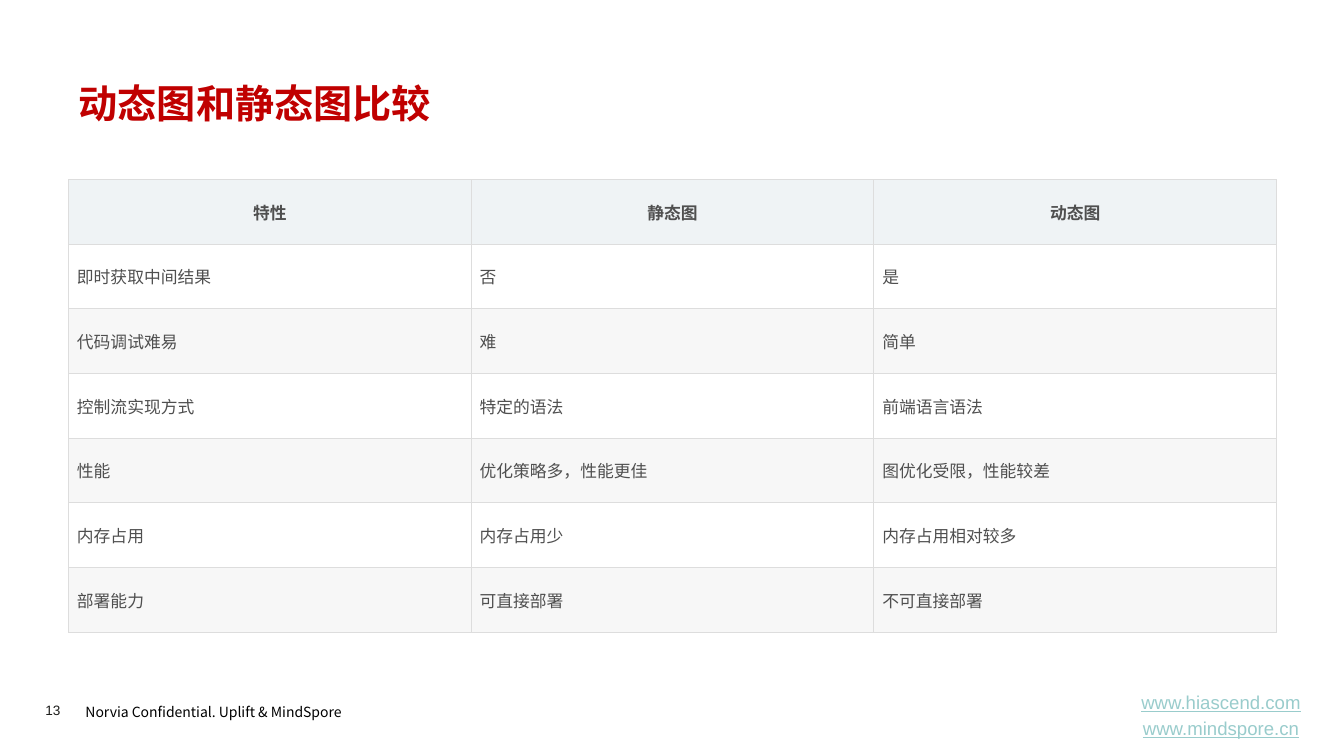
from lxml.etree import SubElement
from pptx import Presentation
from pptx.dml.color import RGBColor
from pptx.enum.text import MSO_ANCHOR as ANCHOR, PP_ALIGN as ALIGN
from pptx.oxml.ns import qn
from pptx.util import Pt

COLORS = {
    "title": "C00000", "cell_text": "4F4F4F", "border": "DDDDDD",
    "header": "EFF3F5", "odd": "FFFFFF", "even": "F7F7F7",
    "footer": "000000", "number": "1D1D1B", "link": "99CCCC",
}
CJK_FONT = "Noto Sans CJK SC"
ROWS = [
    ("特性", "静态图", "动态图"),
    ("即时获取中间结果", "否", "是"),
    ("代码调试难易", "难", "简单"),
    ("控制流实现方式", "特定的语法", "前端语言语法"),
    ("性能", "优化策略多，性能更佳", "图优化受限，性能较差"),
    ("内存占用", "内存占用少", "内存占用相对较多"),
    ("部署能力", "可直接部署", "不可直接部署"),
]
FOOTERS = [
    # lines, box, size, font, colour, inset
    (["Norvia Confidential. Uplift & MindSpore"], (54, 496.8, 225.4, 20.9), 10, CJK_FONT, "footer", None),
    (["13"], (32.4, 501.1, 39.6, 11.5), 9.7, "Arial", "number", 0),
    (["www.hiascend.com", "www.mindspore.cn"], (794.9, 495.4, 155.5, 31), 13.3, "Arial", "link", None),
]


def format_paragraph(p, size, font, color, bold=False):
    p.font.size = Pt(size)
    p.font.name = font
    p.font.bold = bold
    p.font.color.rgb = RGBColor.from_string(COLORS[color])
    def_rpr = p._p.pPr.find(qn("a:defRPr"))
    SubElement(def_rpr, qn("a:ea"), typeface=CJK_FONT)


def add_borders(cell):
    tc_pr = cell._tc.get_or_add_tcPr()
    for i, side in enumerate(("lnL", "lnR", "lnT", "lnB")):
        ln = tc_pr.makeelement(qn(f"a:{side}"), {"w": str(Pt(0.75))})
        fill = SubElement(ln, qn("a:solidFill"))
        SubElement(fill, qn("a:srgbClr"), val=COLORS["border"])
        tc_pr.insert(i, ln)


prs = Presentation()
prs.slide_width, prs.slide_height = Pt(960.5), Pt(540)
s = prs.slides.add_slide(prs.slide_layouts[5])

# Title
title = s.shapes.title
title.left, title.top, title.width, title.height = Pt(49), Pt(53.3), Pt(863.3), Pt(46.1)
tf = title.text_frame
tf.text = "动态图和静态图比较"
tf.vertical_anchor = ANCHOR.TOP
tf.paragraphs[0].alignment = ALIGN.LEFT
format_paragraph(tf.paragraphs[0], 28, "League Spartan", "title", bold=True)

# Comparison table
frame = s.shapes.add_table(len(ROWS), 3, Pt(49), Pt(128.2), Pt(863.4), Pt(323.4))
table = frame.table
for column in table.columns:
    column.width = Pt(287.8)
for r, texts in enumerate(ROWS):
    table.rows[r].height = Pt(46.2)
    fill = "header" if r == 0 else "odd" if r % 2 else "even"
    for c, text in enumerate(texts):
        cell = table.cell(r, c)
        cell.text = text
        cell.vertical_anchor = ANCHOR.MIDDLE
        cell.margin_left = cell.margin_right = Pt(6)
        cell.margin_top = cell.margin_bottom = Pt(6)
        cell.fill.solid()
        cell.fill.fore_color.rgb = RGBColor.from_string(COLORS[fill])
        add_borders(cell)
        p = cell.text_frame.paragraphs[0]
        p.alignment = ALIGN.CENTER if r == 0 else ALIGN.LEFT
        format_paragraph(p, 12, "Arial", "cell_text", bold=r == 0)

# Footer: notice, page number and web addresses
for lines, box, size, font, color, inset in FOOTERS:
    tf = s.shapes.add_textbox(*map(Pt, box)).text_frame
    tf.word_wrap = True
    tf.text = "\n".join(lines)
    if inset is not None:
        tf.margin_left = tf.margin_right = tf.margin_top = tf.margin_bottom = Pt(inset)
    for i, p in enumerate(tf.paragraphs):
        format_paragraph(p, size, font, color)
        if color == "footer":
            p.line_spacing = 1.2
        elif color == "link":
            tf.vertical_anchor = ANCHOR.MIDDLE
            p.alignment = ALIGN.CENTER
            p.font.underline = True
            p.space_before = Pt(2.7 if i else 0)

prs.save("out.pptx")
